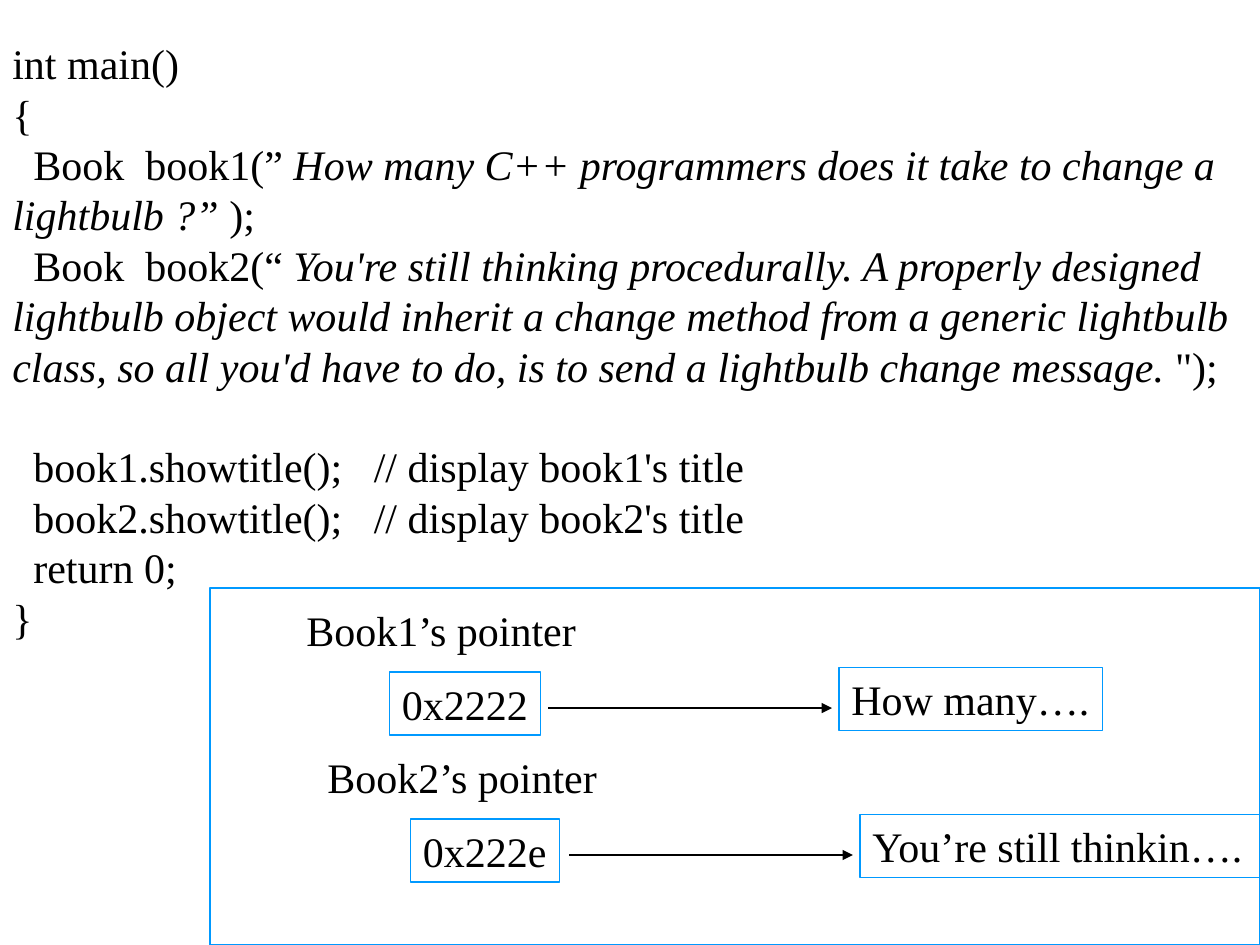
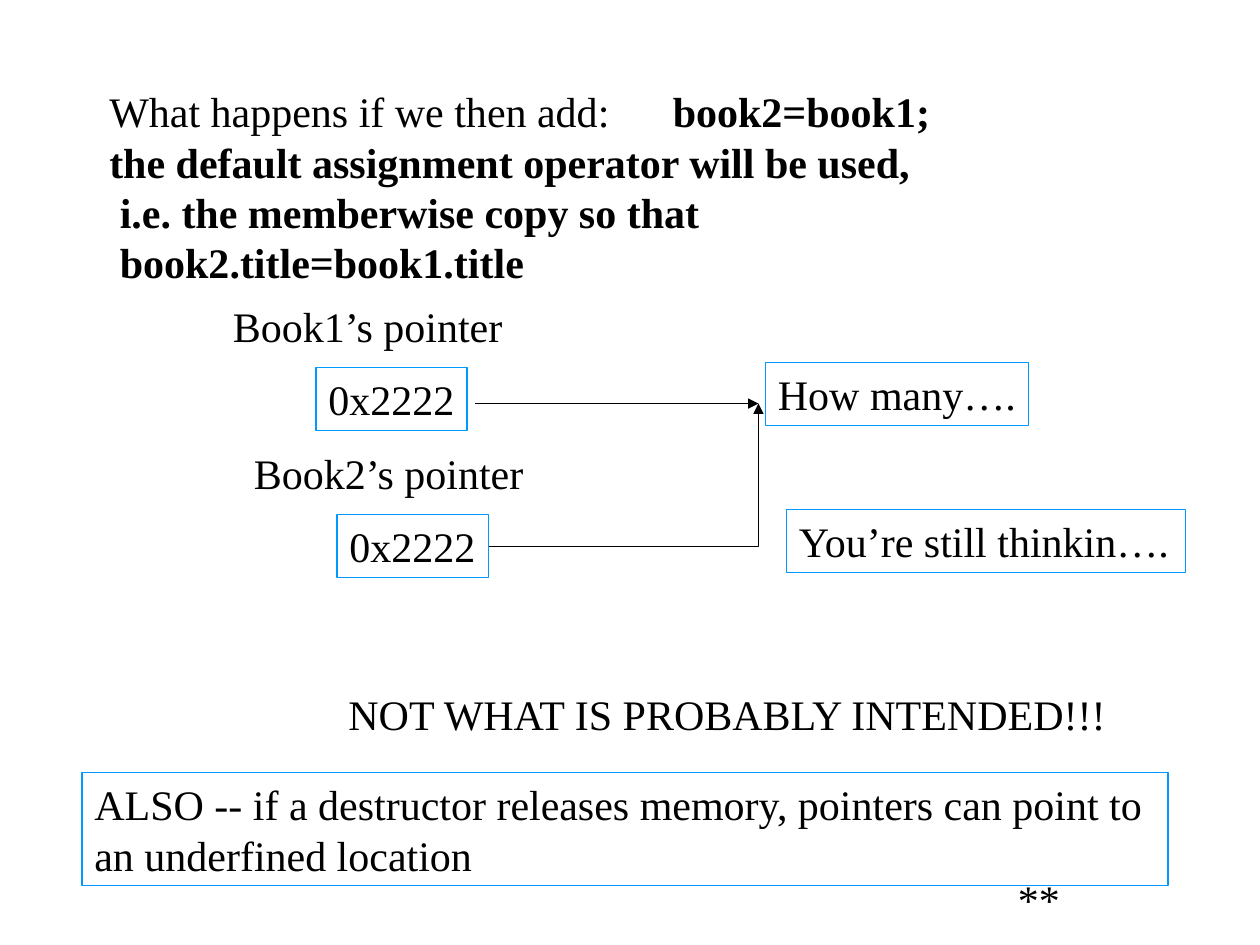
from lxml.etree import SubElement
from pptx import Presentation
from pptx.dml.color import RGBColor
from pptx.enum.shapes import MSO_CONNECTOR, MSO_SHAPE
from pptx.enum.text import MSO_ANCHOR, PP_ALIGN
from pptx.oxml.ns import qn
from pptx.util import Pt

COLORS = {"text": "000000", "frame": "0099FF", "arrow": "000000"}
FONT = "Times New Roman"
SIZE = 24
LINE_HEIGHT = 28.8
LABEL_WIDTH = 169
BOX_HEIGHT = 36


def add_run(paragraph, text, bold=False, italic=False):
    run = paragraph.add_run()
    run.text = text
    run.font.name = FONT
    run.font.size = Pt(SIZE)
    run.font.bold = bold
    run.font.italic = italic
    run.font.color.rgb = RGBColor.from_string(COLORS["text"])


class SlideBuilder:
    """Holds the presentation, its style and the current slide."""

    def __init__(self, presentation):
        self.presentation = presentation
        self.slide = None

    def new_slide(self):
        self.slide = self.presentation.slides.add_slide(self.presentation.slide_layouts[6])

    def fill_text(self, shape, paragraphs, wrap):
        """Each paragraph is a string or a list of (text, format) pairs."""
        frame = shape.text_frame
        frame.word_wrap = wrap
        frame.vertical_anchor = MSO_ANCHOR.TOP
        for index, runs in enumerate(paragraphs):
            paragraph = frame.paragraphs[0] if index == 0 else frame.add_paragraph()
            paragraph.alignment = PP_ALIGN.LEFT
            paragraph.line_spacing = Pt(LINE_HEIGHT)
            for text, style in [(runs, {})] if isinstance(runs, str) else runs:
                add_run(paragraph, text, **style)
        return frame.paragraphs

    def text(self, left, top, width, height, *paragraphs, wrap=False):
        shape = self.slide.shapes.add_textbox(Pt(left), Pt(top), Pt(width), Pt(height))
        return self.fill_text(shape, paragraphs, wrap)

    def box(self, left, top, width, height, *paragraphs):
        shape = self.slide.shapes.add_shape(
            MSO_SHAPE.RECTANGLE, Pt(left), Pt(top), Pt(width), Pt(height))
        shape.shadow.inherit = False
        shape.fill.background()
        shape.line.color.rgb = RGBColor.from_string(COLORS["frame"])
        shape.line.width = Pt(0.75)
        self.fill_text(shape, paragraphs, wrap=False)

    def arrow(self, start, end, bent=False):
        kind = MSO_CONNECTOR.ELBOW if bent else MSO_CONNECTOR.STRAIGHT
        connector = self.slide.shapes.add_connector(kind, *map(Pt, start + end))
        connector.line.color.rgb = RGBColor.from_string(COLORS["arrow"])
        connector.line.width = Pt(0.75)
        properties = connector._element.spPr
        if bent:
            properties.find(qn("a:prstGeom")).set("prst", "bentConnector2")
        SubElement(properties.find(qn("a:ln")), qn("a:tailEnd"), type="triangle")
        SubElement(properties, qn("a:effectLst"))

    def pointer_rows(self, left, top, addresses, shared_target=False):
        """Two staggered rows: pointer label, address box, arrow and title box."""
        titles = [("How many….", 150.5), ("You’re still thinkin….", 228.2)]
        first_tip = (left + 307.4, top + 62.6)
        for index, (address, (title, title_width)) in enumerate(zip(addresses, titles)):
            x, y = left + 12 * index, top + 84 * index
            address_width = 86.4 if address.isascii() and address[-1] == "2" else 85
            self.text(x, y, LABEL_WIDTH, BOX_HEIGHT, f"Book{index + 1}’s pointer")
            self.box(x + 54.6, y + 42, address_width, BOX_HEIGHT, address)
            self.box(x + 311.4, y + 39.3, title_width, BOX_HEIGHT, title)
            if shared_target and index:
                self.arrow((x + 141.4, y + 60.5), first_tip, bent=True)
            else:
                self.arrow((x + 145.4, y + 62.6), (x + 307.4, y + 62.6))


def build_main_program(builder):
    builder.new_slide()

    # Code listing
    italic = {"italic": True}
    lines = builder.text(
        0, 18, 720, 381.6,
        "int main()",
        "{",
        [("  Book  book1(” ", {}),
         ("How many C++ programmers does it take to change a lightbulb ?”", italic),
         (" );", {})],
        [("  Book  book2(“ ", {}),
         ("You're still thinking procedurally. A properly designed lightbulb object "
          "would inherit a change method from a generic lightbulb class, so all you'd "
          "have to do, is to send a lightbulb change message.", italic),
         (" \");", {})],
        "  book1.showtitle();   // display book1's title",
        "  book2.showtitle();   // display book2's title",
        "  return 0;",
        "}",
        wrap=True)
    lines[4].space_before = Pt(LINE_HEIGHT)

    # Memory diagram
    builder.pointer_rows(168, 342, ["0x2222", "0x222e"])
    builder.box(120, 336, 600, 204)


def build_assignment(builder):
    builder.new_slide()

    # Question and answer
    bold = {"bold": True}
    question, _, detail = builder.text(
        55.4, 45.4, 588.2, 93.6,
        [("What happens if we then add:\t", {}), ("book2=book1;", bold)],
        [("the default assignment operator will be used,", bold)],
        [("i.e. the memberwise copy so that book2.title=book1.title", bold)])
    tabs = SubElement(question._p.get_or_add_pPr(), qn("a:tabLst"))
    SubElement(tabs, qn("a:tab"), pos=str(Pt(322)), algn="l")
    detail._p.get_or_add_pPr().set("marL", str(Pt(6)))

    # Memory diagram after the assignment
    builder.pointer_rows(126, 168, ["0x2222", "0x2222"], shared_target=True)

    # Warnings
    builder.text(192, 390, 454.3, BOX_HEIGHT, "NOT WHAT IS PROBABLY INTENDED!!!")
    builder.text(574.6, 495.4, 38.2, BOX_HEIGHT, "**")
    builder.box(
        46.8, 441.4, 620.6, 64.8,
        "ALSO -- if a destructor releases memory, pointers can point to",
        "an underfined location")


def main():
    presentation = Presentation()
    presentation.slide_width = Pt(720)
    presentation.slide_height = Pt(540)
    builder = SlideBuilder(presentation)
    build_main_program(builder)
    build_assignment(builder)
    presentation.save("out.pptx")


if __name__ == "__main__":
    main()
